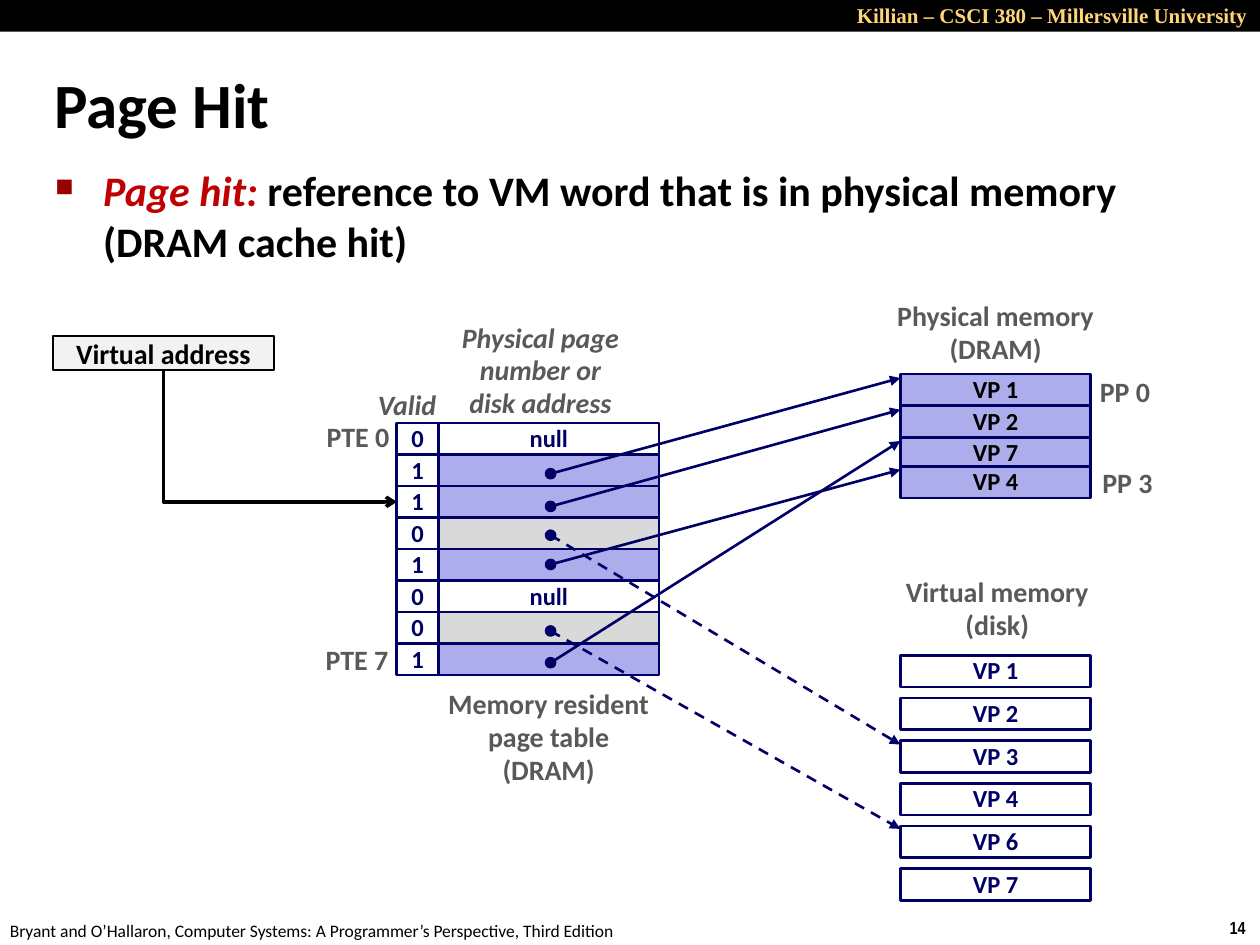
from dataclasses import dataclass

from lxml import etree
from pptx import Presentation
from pptx import util as u
from pptx.dml.color import RGBColor
from pptx.enum import dml, shapes, text
from pptx.oxml.ns import qn

BLACK = RGBColor(0x00, 0x00, 0x00)
WHITE = RGBColor(0xFF, 0xFF, 0xFF)
NAVY = RGBColor(0x00, 0x00, 0x66)
LILAC = RGBColor(0xAD, 0xAD, 0xEB)
SILVER = RGBColor(0xD9, 0xD9, 0xD9)
PALE = RGBColor(0xF2, 0xF2, 0xF2)
GREY = RGBColor(0x59, 0x59, 0x59)
RED = RGBColor(0xC0, 0x00, 0x00)
GOLD = RGBColor(0xFF, 0xD5, 0x79)

LEFT, CENTER, RIGHT = text.PP_ALIGN.LEFT, text.PP_ALIGN.CENTER, text.PP_ALIGN.RIGHT
TOP, MIDDLE = text.MSO_ANCHOR.TOP, text.MSO_ANCHOR.MIDDLE
RECT, OVAL = shapes.MSO_SHAPE.RECTANGLE, shapes.MSO_SHAPE.OVAL

TABLE_TOP, TABLE_HEIGHT = 8.53, 5.08
VALID_LEFT, VALID_WIDTH = 8.0, 0.84
ENTRY_WIDTH = 4.45
MEMORY_LEFT, MEMORY_WIDTH, PAGE_HEIGHT = 18.15, 3.84, 0.64
DISK_TOP, DISK_PITCH = 13.21, 0.86
DOT_LEFT, DOT_SIZE = 11.0, 0.2


@dataclass
class Entry:
    valid: str
    fill: RGBColor
    label: str = ""


@dataclass
class Pointer:
    dot_top: float
    end_y: float
    dashed: bool = False


@dataclass
class Label:
    text: str
    left: float
    top: float
    width: float
    height: float
    align: text.PP_ALIGN = CENTER
    italic: bool = False


ENTRIES = [
    Entry("0", WHITE, "null"), Entry("1", LILAC), Entry("1", LILAC), Entry("0", SILVER),
    Entry("1", LILAC), Entry("0", WHITE, "null"), Entry("0", SILVER), Entry("1", LILAC),
]
POINTERS = [
    Pointer(9.45, 7.62), Pointer(10.11, 8.26), Pointer(10.69, 15.01, True),
    Pointer(11.28, 9.47), Pointer(12.62, 16.71, True), Pointer(13.26, 8.89),
]
PHYSICAL_PAGES = [("VP 7", 8.81), ("VP 4", 9.4), ("VP 2", 8.18), ("VP 1", 7.54)]
DISK_PAGES = ["VP 1", "VP 2", "VP 3", "VP 4", "VP 6", "VP 7"]
LABELS = [
    Label("Memory resident\npage table\n(DRAM)", 8.71, 13.74, 4.7, 2.26),
    Label("Physical memory\n(DRAM)", 17.81, 5.92, 4.52, 1.6),
    Label("Virtual memory\n(disk)", 17.96, 11.48, 4.29, 1.6),
    Label("Valid", 7.37, 7.7, 1.91, 0.94, LEFT, True),
    Label("Physical page\nnumber or\ndisk address", 9.04, 6.35, 3.71, 2.26, CENTER, True),
    Label("PTE 0", 6.32, 8.36, 1.78, 0.94, RIGHT),
    Label("PTE 7", 6.3, 12.85, 1.78, 0.94, RIGHT),
    Label("PP 0", 21.92, 7.44, 1.52, 0.94),
    Label("PP 3", 21.97, 9.27, 1.52, 0.94),
]

prs = Presentation()
prs.slide_width, prs.slide_height = u.Cm(25.4), u.Cm(19.05)
s = prs.slides.add_slide(prs.slide_layouts[6])


def write(sp, content: str, *, size=14, color=BLACK, bold=True, italic=False, font="Calibri",
          align=CENTER, anchor=MIDDLE, wrap=False, spacing=1.0):
    tf = sp.text_frame
    tf.word_wrap, tf.vertical_anchor = wrap, anchor
    for i, line in enumerate(content.split("\n")):
        p = tf.add_paragraph() if i else tf.paragraphs[-1]
        p.alignment, p.line_spacing = align, spacing
        r = p.add_run()
        r.text = line
        r.font.size, r.font.name = u.Pt(size), font
        r.font.bold, r.font.italic = bold, italic
        r.font.color.rgb = color


def box(left: float, top: float, width: float, height: float):
    return s.shapes.add_textbox(u.Cm(left), u.Cm(top), u.Cm(width), u.Cm(height))


def shape(left: float, top: float, width: float, height: float, fill=None, line=NAVY,
          weight=1.5, kind=RECT):
    sp = s.shapes.add_shape(kind, u.Cm(left), u.Cm(top), u.Cm(width), u.Cm(height))
    sp.shadow.inherit = False
    if fill is None:
        sp.fill.background()
    else:
        sp.fill.solid()
        sp.fill.fore_color.rgb = fill
    if line is None:
        sp.line.fill.background()
    else:
        sp.line.color.rgb, sp.line.width = line, u.Pt(weight)
    return sp


def arrow(kind, x1: float, y1: float, x2: float, y2: float, color=NAVY, weight=1.5,
          head="triangle", dashed=False):
    c = s.shapes.add_connector(kind, u.Cm(x1), u.Cm(y1), u.Cm(x2), u.Cm(y2))
    c.line.color.rgb, c.line.width = color, u.Pt(weight)
    if dashed:
        c.line.dash_style = dml.MSO_LINE.DASH
    etree.SubElement(c.line._get_or_add_ln(), qn("a:tailEnd"), type=head)
    etree.SubElement(c._element.spPr, qn("a:effectLst"))
    return c


def elbow(source, target):
    c = arrow(shapes.MSO_CONNECTOR.ELBOW, 0, 0, 1, 1, BLACK, 2, "arrow")
    c.begin_connect(source, 2)
    c.end_connect(target, 1)
    dx, dy = c.end_x - c.begin_x, c.end_y - c.begin_y
    mid_x, mid_y = c.begin_x + dx // 2, c.begin_y + dy // 2
    c.left, c.top, c.width, c.height = mid_x - dy // 2, mid_y - dx // 2, dy, dx
    xfrm = c._element.spPr.find(qn("a:xfrm"))
    xfrm.set("rot", "16200000")
    xfrm.set("flipH", "1")
    c._element.spPr.find(qn("a:prstGeom")).set("prst", "bentConnector2")


def bullet(p):
    pPr = p._p.get_or_add_pPr()
    pPr.set("marL", str(u.Cm(0.97)))
    pPr.set("indent", str(-u.Cm(0.97)))
    color = etree.SubElement(pPr, qn("a:buClr"))
    etree.SubElement(color, qn("a:srgbClr"), val="990000")
    etree.SubElement(pPr, qn("a:buSzPct"), val="60000")
    etree.SubElement(pPr, qn("a:buChar"), char="■")


def frame():
    shape(0, 0, 25.4, 0.64, BLACK, None)
    write(box(16.99, -0.08, 8.41, 0.76), "Killian – CSCI 380 – Millersville University", size=12,
          color=GOLD, font="Times New Roman", align=RIGHT, anchor=TOP, wrap=True)
    write(box(24.54, 18.36, 0.86, 0.69), "14", size=10, font="Arial Narrow", align=LEFT, anchor=TOP)
    write(box(-0.05, 18.42, 12.9, 0.69),
          "Bryant and O’Hallaron, Computer Systems: A Programmer’s Perspective, Third Edition",
          size=10, bold=False, align=LEFT, anchor=TOP)
    write(box(0.84, 0.99, 23.01, 2.18), "Page Hit", size=36, align=LEFT, wrap=True)
    body = box(0.86, 3.2, 23.09, 1.68)
    style = dict(size=24, align=LEFT, anchor=TOP, wrap=True)
    write(body, "Page hit: ", color=RED, italic=True, **style)
    write(body, "reference to VM word that is in physical memory (DRAM cache hit)", **style)
    bullet(body.text_frame.paragraphs[0])


def page_table():
    row_height = TABLE_HEIGHT / len(ENTRIES)
    cells = []
    for i, entry in enumerate(ENTRIES):
        top = TABLE_TOP + i * row_height
        sp = shape(VALID_LEFT + VALID_WIDTH, top, ENTRY_WIDTH, row_height, entry.fill)
        if entry.label:
            write(sp, entry.label, color=NAVY, spacing=0.98)
        cell = shape(VALID_LEFT, top, VALID_WIDTH, row_height)
        write(cell, entry.valid, color=NAVY, spacing=0.98)
        cells.append(cell)
    return cells


def main():
    frame()
    valid_cells = page_table()
    for name, top in PHYSICAL_PAGES:
        sp = shape(MEMORY_LEFT, top, MEMORY_WIDTH, PAGE_HEIGHT, LILAC)
        write(sp, name, spacing=0.98)
    for i, name in enumerate(DISK_PAGES):
        sp = shape(MEMORY_LEFT, DISK_TOP + i * DISK_PITCH, MEMORY_WIDTH, PAGE_HEIGHT, WHITE)
        write(sp, name, color=NAVY, spacing=0.98)
    for ptr in POINTERS:
        shape(DOT_LEFT, ptr.dot_top, DOT_SIZE, DOT_SIZE, NAVY, weight=1, kind=OVAL)
        arrow(shapes.MSO_CONNECTOR.STRAIGHT, DOT_LEFT + DOT_SIZE / 2, ptr.dot_top + DOT_SIZE / 2,
              MEMORY_LEFT, ptr.end_y, dashed=ptr.dashed)
    for lb in LABELS:
        write(box(lb.left, lb.top, lb.width, lb.height), lb.text, size=16, color=GREY,
              italic=lb.italic, align=lb.align, spacing=0.98)
    address = shape(1.07, 6.78, 4.45, 0.68, PALE, BLACK, 1)
    write(address, "Virtual address", size=16)
    elbow(address, valid_cells[2])
    prs.save("out.pptx")


if __name__ == "__main__":
    main()
